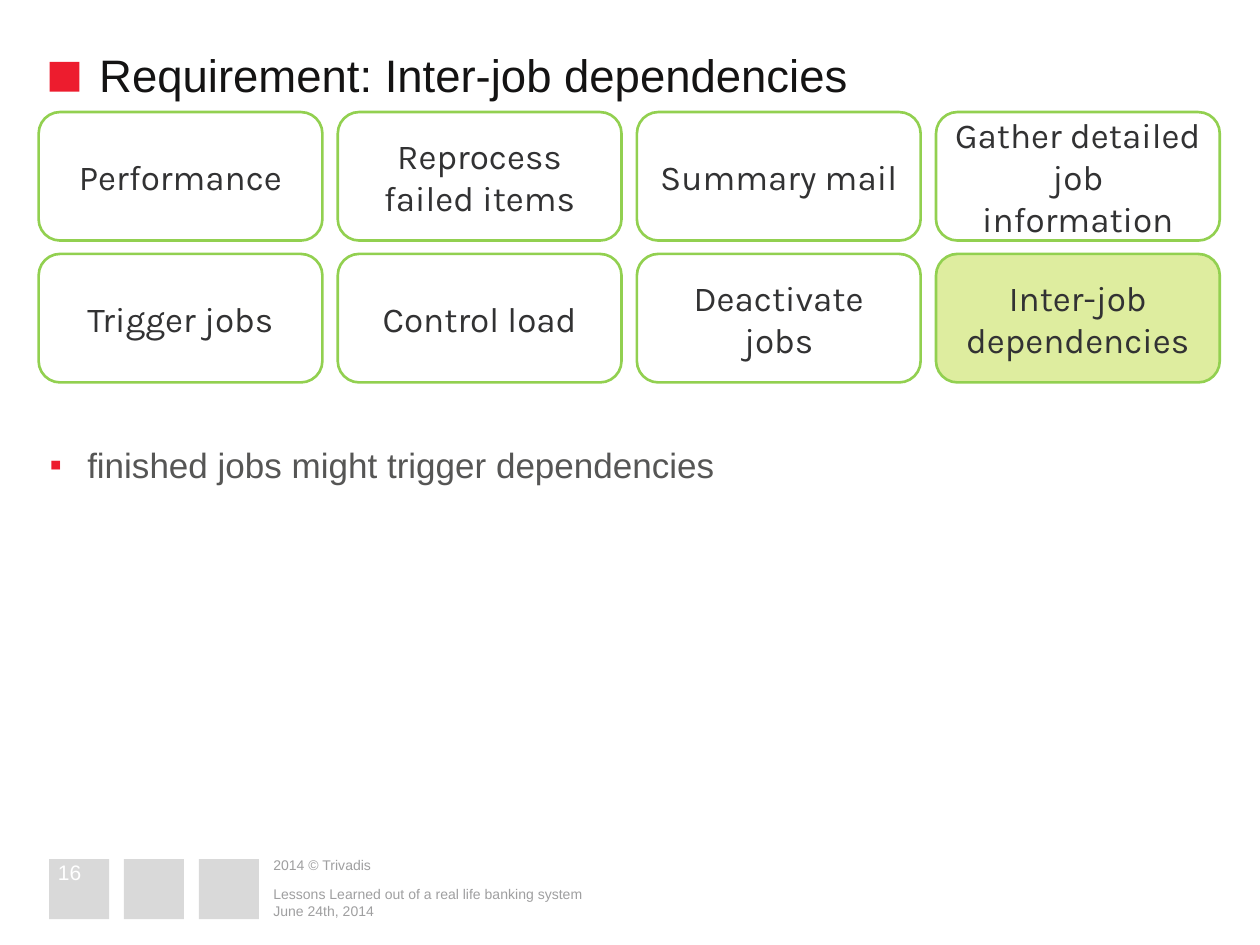
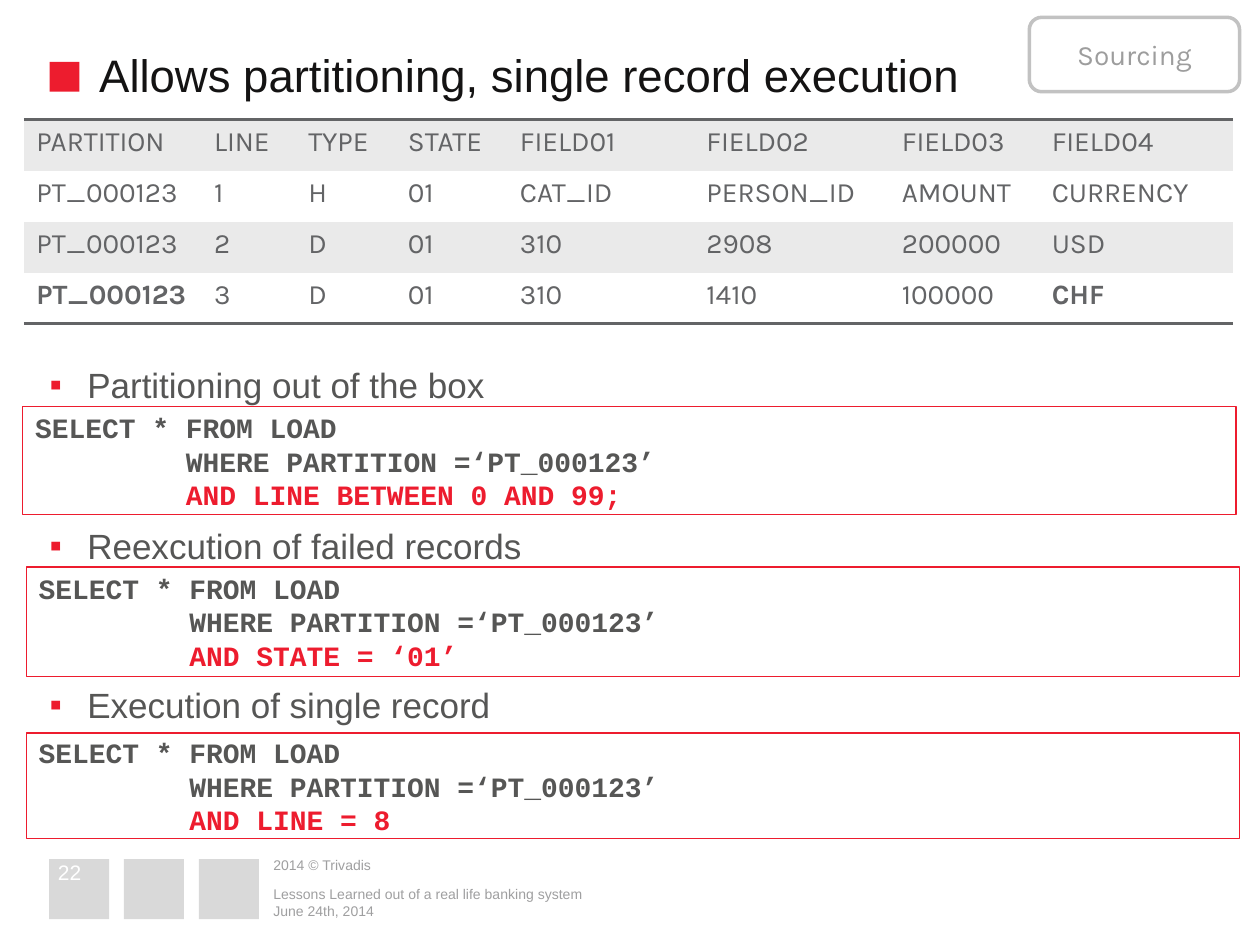
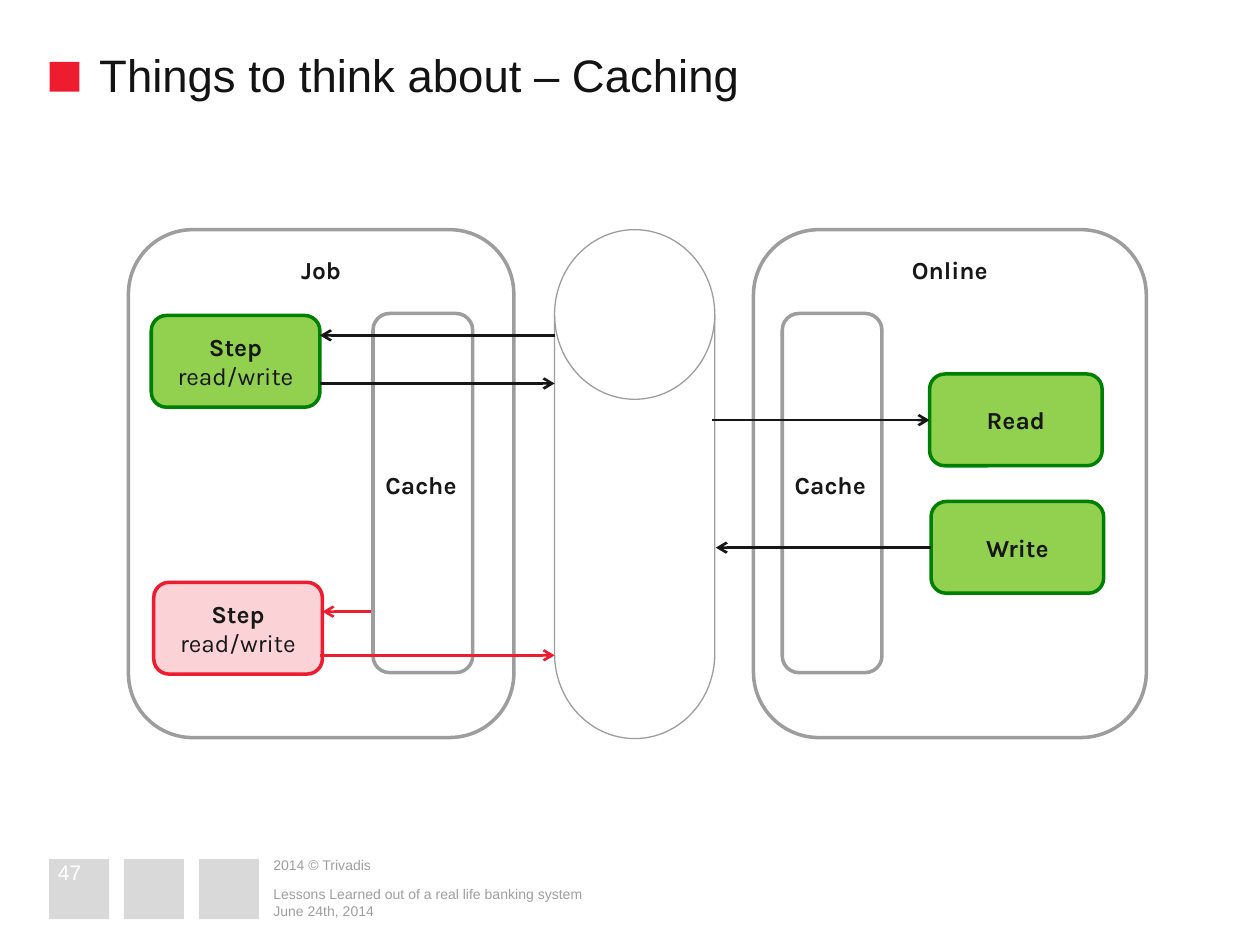
from lxml import etree
from pptx import Presentation
from pptx.dml.color import RGBColor
from pptx.enum.shapes import MSO_CONNECTOR, MSO_SHAPE
from pptx.enum.text import MSO_ANCHOR, MSO_AUTO_SIZE, PP_ALIGN
from pptx.oxml.ns import qn
from pptx.util import Cm, Pt

RECT, ROUND = MSO_SHAPE.RECTANGLE, MSO_SHAPE.ROUNDED_RECTANGLE
DISK = MSO_SHAPE.FLOWCHART_MAGNETIC_DISK
STRAIGHT = MSO_CONNECTOR.STRAIGHT
LEFT, CENTER = PP_ALIGN.LEFT, PP_ALIGN.CENTER
TOP, MIDDLE, BOTTOM = MSO_ANCHOR.TOP, MSO_ANCHOR.MIDDLE, MSO_ANCHOR.BOTTOM
NO_FIT = MSO_AUTO_SIZE.NONE
NO_STYLE_TABLE = "{2D5ABB26-0587-4C30-8999-92F81FD0307C}"

COLORS = {
    "red": "ED1C2E", "pink": "FBD2D5", "white": "FFFFFF",
    "title": "141313", "body": "565655", "ink": "171717", "label": "323233",
    "square": "D9D9D9", "footer": "9F9FA0", "panel": "9D9D9D",
    "tag_line": "C2C2C2", "table": "636466", "band": "EAEAEA",
    "green": "92D050", "dark_green": "008000", "lime": "DEED9F",
}

# Text styles: font, size, colour, bold
TITLE = ("Arial", 26, "title", False)
BULLET = ("Arial", 20, "body", False)
FOOTER = ("Arial", 8, "footer", False)
NUMBER = ("Arial", 12, "white", False)
CODE = ("Courier New", 16, "body", True)
CODE_RED = ("Courier New", 16, "red", True)
REQUIREMENT = ("Karla", 20, "label", False)
TAG = ("Karla", 16, "panel", False)
CELL = ("Karla", 16, "table", False)
CELL_BOLD = ("Karla", 16, "table", True)
NODE = ("Karla", 14, "ink", False)
NODE_BOLD = ("Karla", 14, "ink", True)


def rgb(name):
    return RGBColor.from_string(COLORS[name])


def write(tf, lines, align=LEFT, anchor=TOP, inset=True):
    """Fill a frame with (text, style) lines in a single paragraph."""
    tf.word_wrap = True
    tf.vertical_anchor = anchor
    if not inset:
        tf.margin_left = tf.margin_right = tf.margin_top = tf.margin_bottom = 0
    p = tf.paragraphs[0]
    p.alignment = align
    for i, (text, (font, size, color, bold)) in enumerate(lines):
        if i:
            p.add_line_break()
        r = p.add_run()
        r.text = text
        r.font.name, r.font.size, r.font.bold = font, Pt(size), bold
        r.font.color.rgb = rgb(color)
    return p


def shape(s, kind, box, fill=None, line=None, width=1):
    sp = s.shapes.add_shape(kind, *map(Cm, box))
    sp.shadow.inherit = False
    if fill:
        sp.fill.solid()
        sp.fill.fore_color.rgb = rgb(fill)
    else:
        sp.fill.background()
    if line:
        sp.line.color.rgb = rgb(line)
        sp.line.width = Pt(width)
    else:
        sp.line.fill.background()
    return sp


def label(s, box, text, style, anchor=TOP):
    tf = s.shapes.add_textbox(*map(Cm, box)).text_frame
    p = write(tf, [(text, style)], anchor=anchor, inset=False)
    return tf, p


def bullet(s, box, text):
    p = label(s, box, text, BULLET)[1]
    pPr = p._p.get_or_add_pPr()
    pPr.set("marL", str(Cm(0.76)))
    pPr.set("indent", str(-Cm(0.76)))
    color = etree.SubElement(pPr, qn("a:buClr"))
    etree.SubElement(color, qn("a:srgbClr"), val=COLORS["red"])
    etree.SubElement(pPr, qn("a:buFont"), typeface="Arial")
    etree.SubElement(pPr, qn("a:buChar"), char="▪")


def arrow(s, x1, y1, x2, y2, color):
    cn = s.shapes.add_connector(STRAIGHT, Cm(x1), Cm(y1), Cm(x2), Cm(y2))
    cn.line.color.rgb = rgb(color)
    cn.line.width = Pt(1.5)
    etree.SubElement(cn.line._get_or_add_ln(), qn("a:tailEnd"), type="arrow")
    etree.SubElement(cn._element.spPr, qn("a:effectLst"))


def footer(s, x, y, number):
    for i in range(3):
        shape(s, RECT, (x + 1.51 * i, y, 1.21, 1.21), fill="square")
    label(s, (x + 0.18, y + 0.05, 1.22, 0.43), number, NUMBER, MIDDLE)
    left = x + 4.52
    label(s, (left, y - 0.07, 3.43, 0.38), "2014 © Trivadis", FOOTER, MIDDLE)
    label(s, (left, y + 0.4, 13.61, 0.46),
          "Lessons Learned out of a real life banking system", FOOTER, BOTTOM)
    label(s, (left, y + 0.76, 13.61, 0.46), "June 24th, 2014", FOOTER, BOTTOM)


def new_slide(prs, title, number):
    """Slide with the shared title, red marker and footer."""
    s = prs.slides.add_slide(prs.slide_layouts[5])
    sp = s.shapes.title
    sp.left, sp.top, sp.width, sp.height = map(Cm, (2, 0.94, 22.73, 1.12))
    write(sp.text_frame, [(title, TITLE)], inset=False)
    sp.text_frame.auto_size = NO_FIT
    shape(s, RECT, (1, 1.25, 0.6, 0.6), fill="red")
    footer(s, 0.99, 17.32, number)
    return s


# Slide with the grid of requirements
REQUIREMENTS = [
    ["Performance", "Reprocess failed items", "Summary mail",
     "Gather detailed job information"],
    ["Trigger jobs", "Control load", "Deactivate jobs",
     "Inter-job dependencies"],
]


def requirement_grid(s, x, y, current):
    for row, names in enumerate(REQUIREMENTS):
        for col, name in enumerate(names):
            box = (x + 6.03 * col, y + 2.86 * row, 5.72, 2.59)
            fill = "lime" if name == current else None
            sp = shape(s, ROUND, box, fill, "green", 1.5)
            write(sp.text_frame, [(name, REQUIREMENT)], CENTER, MIDDLE)


def requirement_slide(prs):
    s = new_slide(prs, "Requirement: Inter-job dependencies", "16")
    bullet(s, (1, 8.94, 23.42, 7.06), "finished jobs might trigger dependencies")
    requirement_grid(s, 0.78, 2.26, "Inter-job dependencies")


# Slide with the load table and its queries
LOAD_ROWS = [
    ["PARTITION", "LINE", "TYPE", "STATE",
     "FIELD01", "FIELD02", "FIELD03", "FIELD04"],
    ["PT_000123", "1", "H", "01", "CAT_ID", "PERSON_ID", "AMOUNT", "CURRENCY"],
    ["PT_000123", "2", "D", "01", "310", "2908", "200000", "USD"],
    ["PT_000123", "3", "D", "01", "310", "1410", "100000", "CHF"],
]
LOAD_WIDTHS = [3.58, 1.9, 2.01, 2.26, 3.76, 3.94, 3.02, 3.91]
# Bullet text, bullet top, query box, last line of the query
QUERIES = [
    ("Partitioning out of the box", 7.32, (0.46, 8.2, 24.46, 2.18),
     "AND LINE BETWEEN 0 AND 99;"),
    ("Reexcution of failed records", 10.57, (0.53, 11.43, 24.46, 2.21),
     "AND STATE = ‘01’"),
    ("Execution of single record", 13.77, (0.53, 14.78, 24.46, 2.13),
     "AND LINE = 8"),
]


def cell_border(cell, side):
    ln = etree.Element(qn("a:" + side), w=str(Pt(2)))
    fill = etree.SubElement(ln, qn("a:solidFill"))
    etree.SubElement(fill, qn("a:srgbClr"), val=COLORS["table"])
    cell._tc.get_or_add_tcPr().insert(0, ln)


def load_table(s, x, y):
    last_row, last_col = len(LOAD_ROWS) - 1, len(LOAD_WIDTHS) - 1
    box = (x, y, sum(LOAD_WIDTHS), 1.03 * len(LOAD_ROWS))
    tbl = s.shapes.add_table(last_row + 1, last_col + 1, *map(Cm, box)).table
    tbl.first_row = tbl.horz_banding = False
    tbl._tbl.tblPr.find(qn("a:tableStyleId")).text = NO_STYLE_TABLE
    for column, width in zip(tbl.columns, LOAD_WIDTHS):
        column.width = Cm(width)
    for i, values in enumerate(LOAD_ROWS):
        for j, value in enumerate(values):
            cell = tbl.cell(i, j)
            bold = i == last_row and j in (0, last_col)
            write(cell.text_frame, [(value, CELL_BOLD if bold else CELL)])
            cell.fill.solid()
            cell.fill.fore_color.rgb = rgb("white" if i % 2 else "band")
            if i == 0:
                cell_border(cell, "lnT")
            if i == last_row:
                cell_border(cell, "lnB")


def query_box(s, box, condition):
    tf = shape(s, RECT, box, line="red", width=0.75).text_frame
    # Three lines just fit between the borders
    tf.margin_top = tf.margin_bottom = 0
    write(tf, [
        ("SELECT * FROM LOAD", CODE),
        ("         WHERE PARTITION =‘PT_000123’", CODE),
        ("         " + condition, CODE_RED),
    ], anchor=MIDDLE)


def partitioning_slide(prs):
    s = new_slide(prs, "Allows partitioning, single record execution", "22")
    load_table(s, 0.48, 2.41)
    for text, top, box, condition in QUERIES:
        bullet(s, (1, top, 23.42, 1.07), text)
        query_box(s, box, condition)
    # Topic tag in the corner
    tag = shape(s, ROUND, (20.75, 0.35, 4.24, 1.5), "white", "tag_line", 2)
    write(tag.text_frame, [("Sourcing", TAG)], CENTER, MIDDLE)


# Slide with the caching diagram
def panel(s, box, name, cache_dx):
    """Rounded panel with its name and a cache column."""
    x, y = box[:2]
    sp = shape(s, ROUND, box, line="panel", width=2)
    write(sp.text_frame, [(name, NODE_BOLD)], CENTER)
    shape(s, ROUND, (x + cache_dx, y + 1.69, 2.01, 7.24), None, "panel", 2)
    tf = label(s, (x + cache_dx + 0.25, y + 4.85, 1.5, 0.61),
               "Cache", NODE_BOLD)[0]
    tf.word_wrap = False


def node(s, box, lines, fill="green", line="dark_green"):
    sp = shape(s, ROUND, box, fill, line, 2)
    write(sp.text_frame, lines, CENTER, MIDDLE)


def caching_diagram(s, x, y):
    panel(s, (x, y, 7.77, 10.24), "Job", 4.93)
    panel(s, (x + 12.6, y, 7.92, 10.24), "Online", 0.58)
    shape(s, DISK, (x + 8.59, y, 3.23, 10.26), "white", "panel", 0.75)
    # Steps of the job, then the online operations
    step = [("Step", NODE_BOLD), ("read/write", NODE)]
    node(s, (x + 0.46, y + 1.73, 3.4, 1.85), step)
    node(s, (x + 0.51, y + 7.11, 3.4, 1.85), step, "pink", "red")
    node(s, (x + 16.15, y + 2.91, 3.48, 1.85), [("Read", NODE_BOLD)])
    node(s, (x + 16.18, y + 5.48, 3.48, 1.85), [("Write", NODE_BOLD)])
    # Data flows: start, end, height, colour
    for start, end, dy, color in [
        (8.59, 3.86, 2.13, "ink"), (3.86, 8.59, 3.1, "ink"),
        (4.88, 3.91, 7.7, "red"), (3.86, 8.59, 8.58, "red"),
        (11.76, 16.15, 3.84, "ink"), (16.18, 11.84, 6.41, "ink"),
    ]:
        arrow(s, x + start, y + dy, x + end, y + dy, color)


def caching_slide(prs):
    s = new_slide(prs, "Things to think about – Caching", "47")
    caching_diagram(s, 2.59, 4.63)


def main():
    prs = Presentation()
    prs.slide_width, prs.slide_height = Cm(25.4), Cm(19.05)
    requirement_slide(prs)
    partitioning_slide(prs)
    caching_slide(prs)
    prs.save("out.pptx")


if __name__ == "__main__":
    main()
